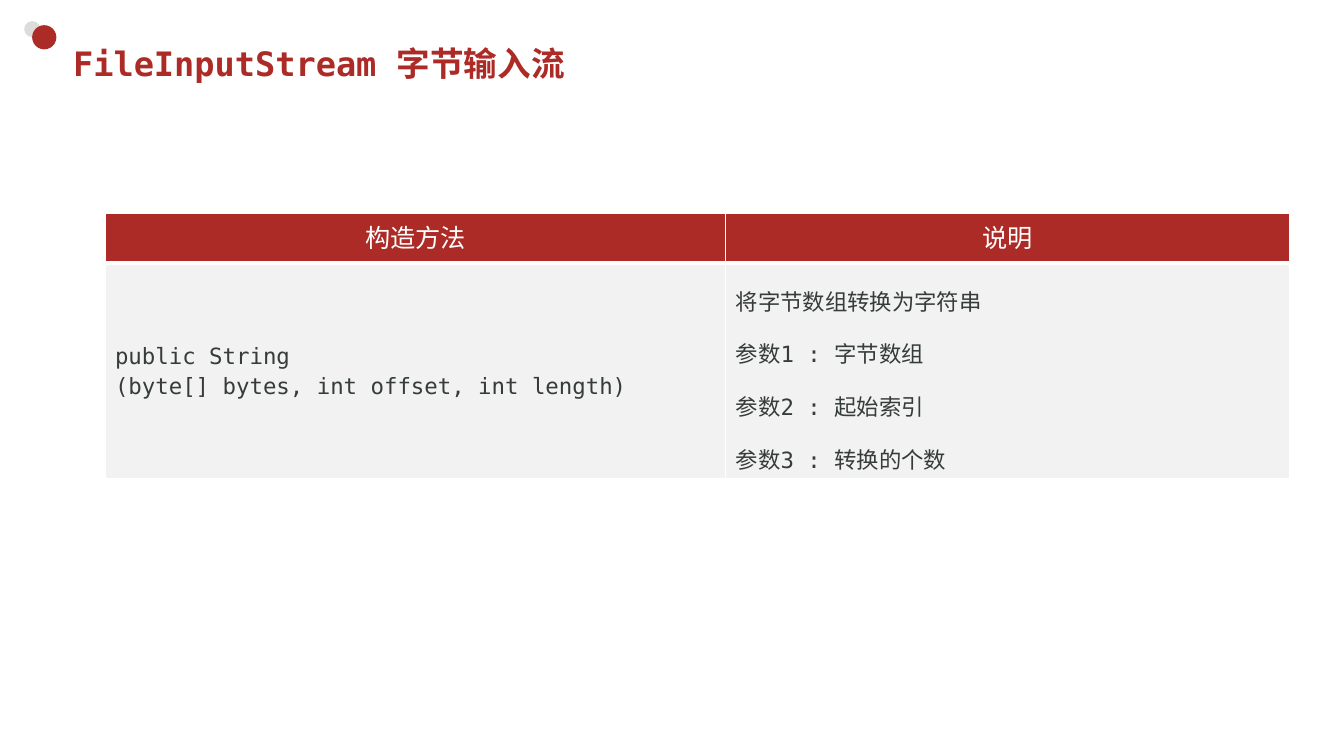
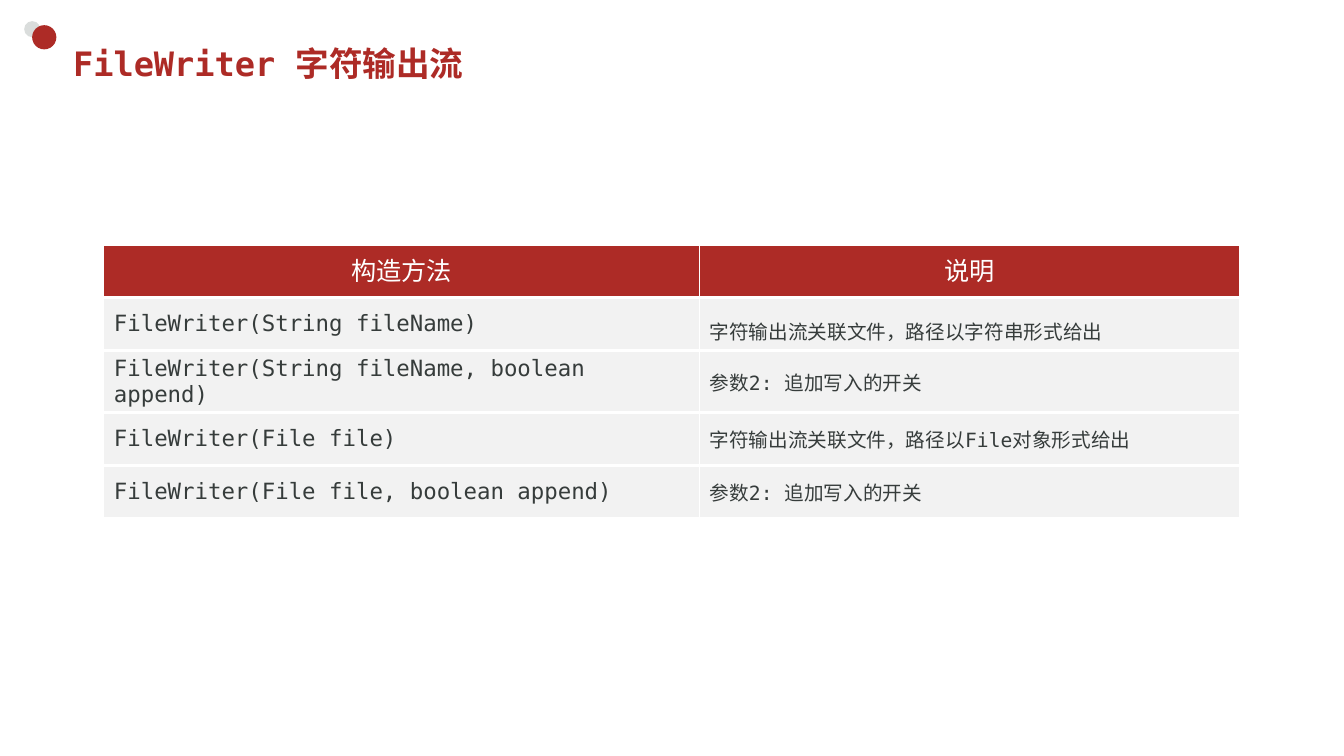
from dataclasses import dataclass

from lxml import etree
from pptx import Presentation
from pptx.dml.color import RGBColor
from pptx.enum import shapes, text
from pptx.oxml import ns
from pptx.util import Pt

COLORS = {
    "red": "AD2B26",
    "pale": "DADDDC",
    "row": "F2F2F2",
    "ink": "363C3B",
    "white": "FFFFFF",
}
CODE_FONT = "DejaVu Sans Mono"
HEADER_FONT = "Lato"
HEADERS = ("构造方法", "说明")


@dataclass(frozen=True)
class Dot:
    left: float
    top: float
    size: float
    color: str


@dataclass(frozen=True)
class Method:
    signature: tuple[str, ...]
    notes: tuple[str, ...]
    note_spacing: float = 1.0


@dataclass(frozen=True)
class MethodSlide:
    title: str
    left: float
    top: float
    columns: tuple[float, float]
    header_height: float
    row_height: float
    note_size: float
    methods: tuple[Method, ...]


DOTS = (Dot(17.3, 15.1, 11.5, "pale"), Dot(23, 18, 17.3, "red"))

SLIDES = (
    MethodSlide(
        "FileInputStream 字节输入流", 75, 152.6, (443.5, 402.5), 35.3, 154, 16,
        (
            Method(
                ("public String", "(byte[] bytes, int offset, int length)"),
                ("将字节数组转换为字符串", "参数1 : 字节数组",
                 "参数2 : 起始索引", "参数3 : 转换的个数"),
                1.5,
            ),
        ),
    ),
    MethodSlide(
        "FileWriter 字符输出流", 74.2, 175, (425.5, 386), 37.4, 38, 14,
        (
            Method(("FileWriter(String fileName)",),
                   ("字符输出流关联文件，路径以字符串形式给出",), 1.5),
            Method(("FileWriter(String fileName, boolean append)",),
                   ("参数2: 追加写入的开关",)),
            Method(("FileWriter(File file)",),
                   ("字符输出流关联文件，路径以File对象形式给出",)),
            Method(("FileWriter(File file, boolean append)",),
                   ("参数2: 追加写入的开关",)),
        ),
    ),
)


def rgb(name: str) -> RGBColor:
    return RGBColor.from_string(COLORS[name])


def set_font(font, name: str, size: float, color: str, bold: bool = False) -> None:
    font.name = name
    font.size = Pt(size)
    font.bold = bold
    font.color.rgb = rgb(color)


def add_dot(slide, dot: Dot) -> None:
    circle = slide.shapes.add_shape(
        shapes.MSO_SHAPE.OVAL, Pt(dot.left), Pt(dot.top), Pt(dot.size), Pt(dot.size)
    )
    circle.shadow.inherit = False
    circle.fill.solid()
    circle.fill.fore_color.rgb = rgb(dot.color)
    circle.line.fill.background()


def set_title(slide, wording: str) -> None:
    title = slide.shapes.title
    title.left, title.top, title.width, title.height = Pt(45), Pt(26.6), Pt(845), Pt(37.4)
    frame = title.text_frame
    frame.text = wording
    frame.auto_size = text.MSO_AUTO_SIZE.NONE
    frame.vertical_anchor = text.MSO_ANCHOR.MIDDLE
    heading = frame.paragraphs[0]
    heading.alignment = text.PP_ALIGN.LEFT
    set_font(heading.font, CODE_FONT, 24, "red", True)


def style_cell(cell, fill: str, top_border: float) -> None:
    properties = cell._tc.get_or_add_tcPr()
    for side, width in (("L", 1), ("R", 1), ("T", top_border), ("B", 3)):
        border = etree.SubElement(properties, ns.qn(f"a:ln{side}"), w=str(Pt(width)))
        paint = etree.SubElement(border, ns.qn("a:solidFill"))
        etree.SubElement(paint, ns.qn("a:srgbClr"), val=COLORS["white"])
    cell.fill.solid()
    cell.fill.fore_color.rgb = rgb(fill)
    cell.vertical_anchor = text.MSO_ANCHOR.MIDDLE


def fill_header(cell, wording: str) -> None:
    style_cell(cell, "red", 1)
    cell.text = wording
    label = cell.text_frame.paragraphs[0]
    label.alignment = text.PP_ALIGN.CENTER
    label.line_spacing = Pt(24)
    set_font(label.font, HEADER_FONT, 18, "white")


def fill_body(cell, lines: tuple[str, ...], size: float, spacing: float) -> None:
    style_cell(cell, "row", 3)
    cell.text = "\n".join(lines)
    for index, line in enumerate(cell.text_frame.paragraphs):
        line.line_spacing = spacing
        line.space_before = Pt(0.2 * size if index else 0)
        set_font(line.font, CODE_FONT, size, "ink")


def add_method_table(slide, content: MethodSlide) -> None:
    heights = [content.header_height] + [content.row_height] * len(content.methods)
    table = slide.shapes.add_table(
        len(heights), len(HEADERS), Pt(content.left), Pt(content.top),
        Pt(sum(content.columns)), Pt(sum(heights)),
    ).table
    table.horz_banding = False
    for column, width in zip(table.columns, content.columns):
        column.width = Pt(width)
    for row, height in zip(table.rows, heights):
        row.height = Pt(height)
    for index, wording in enumerate(HEADERS):
        fill_header(table.cell(0, index), wording)
    for index, method in enumerate(content.methods, start=1):
        fill_body(table.cell(index, 0), method.signature, 16, 1.0)
        fill_body(table.cell(index, 1), method.notes, content.note_size, method.note_spacing)


def main() -> None:
    deck = Presentation()
    deck.slide_width, deck.slide_height = Pt(960), Pt(540)
    for content in SLIDES:
        slide = deck.slides.add_slide(deck.slide_layouts[5])
        for dot in DOTS:
            add_dot(slide, dot)
        set_title(slide, content.title)
        add_method_table(slide, content)
    deck.save("out.pptx")


if __name__ == "__main__":
    main()
